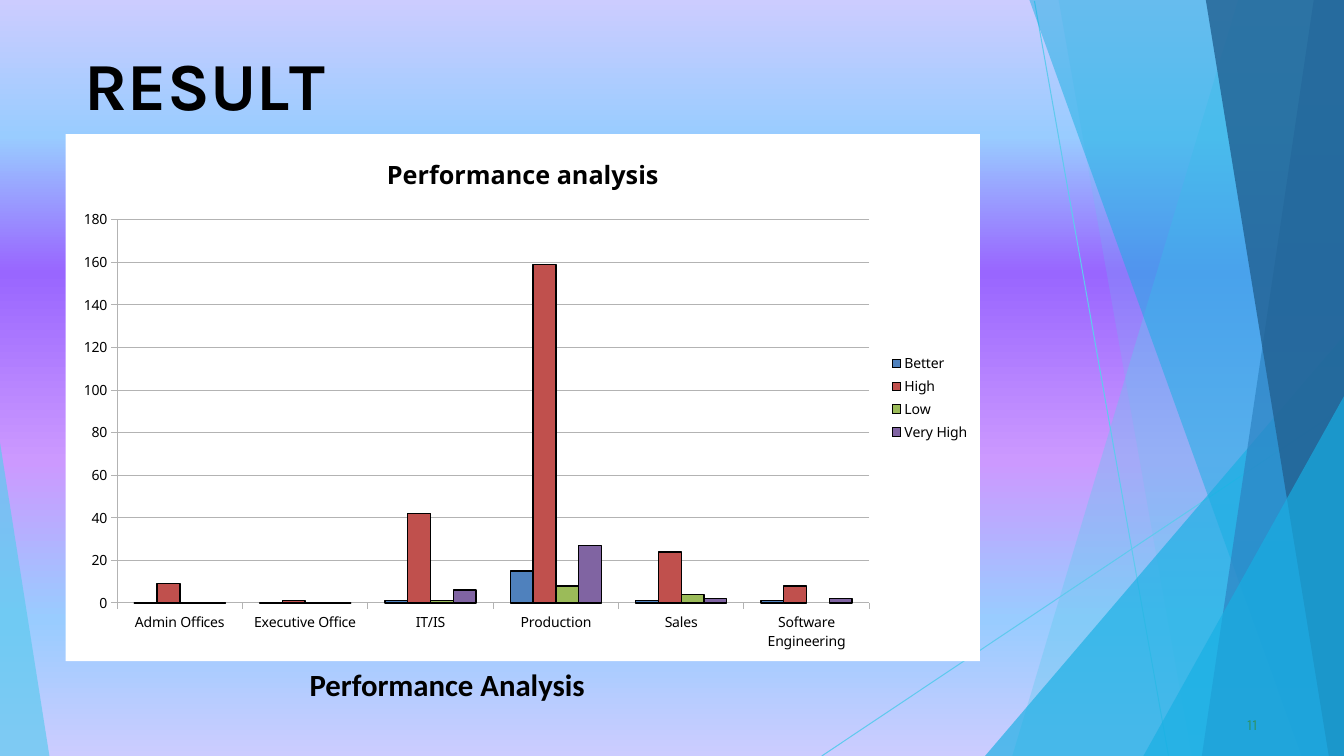
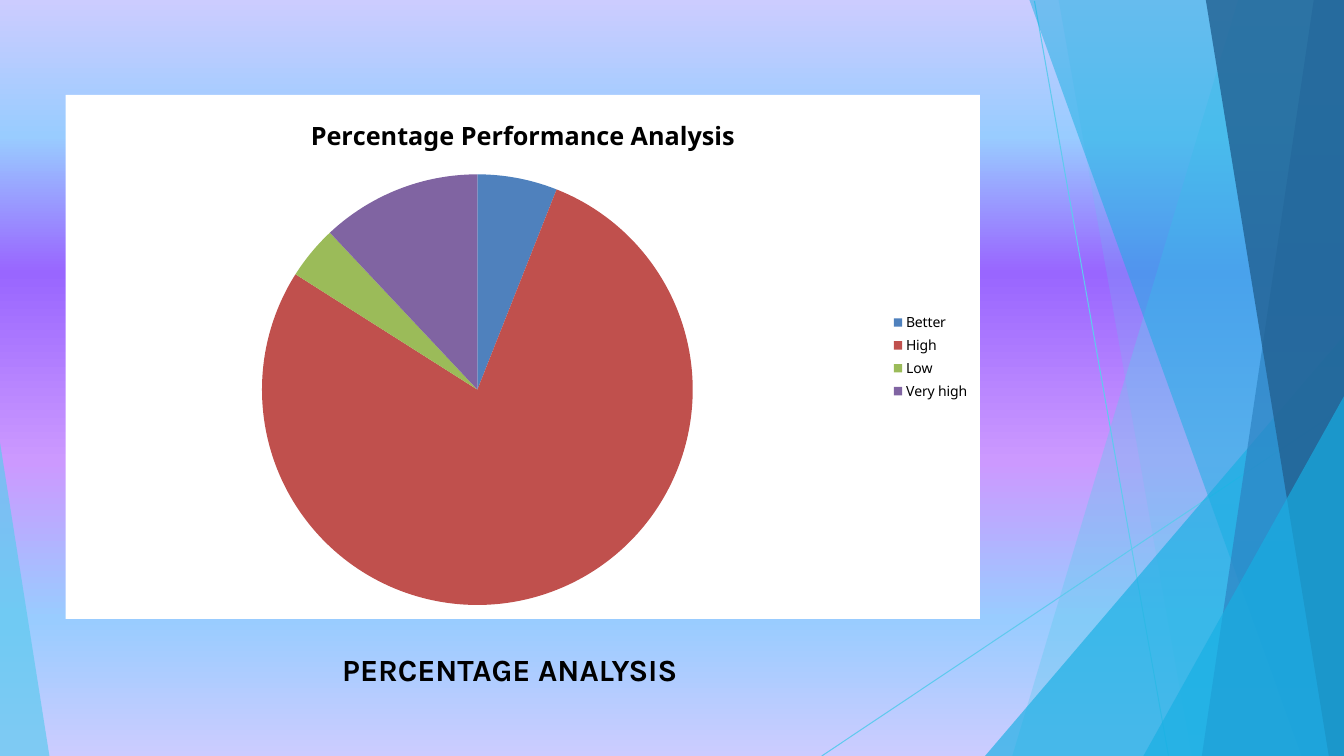
from lxml.etree import SubElement
from pptx import Presentation
from pptx.chart.data import CategoryChartData
from pptx.dml.color import RGBColor
from pptx.enum.chart import XL_CHART_TYPE, XL_LEGEND_POSITION, XL_TICK_MARK
from pptx.enum.text import PP_ALIGN
from pptx.oxml import parse_xml
from pptx.oxml.ns import nsdecls, qn
from pptx.util import Inches, Pt

BLACK = RGBColor(0x00, 0x00, 0x00)
GRID = RGBColor(0xB3, 0xB3, 0xB3)
GREEN = RGBColor(0x2D, 0x93, 0x6B)
SKY = RGBColor(0x5F, 0xCA, 0xEE)
CYAN = RGBColor(0x17, 0xAF, 0xE3)
BLUE = RGBColor(0x2D, 0x83, 0xC3)
NAVY = RGBColor(0x22, 0x61, 0x92)
SERIES_COLORS = [RGBColor(0x4F, 0x81, 0xBD), RGBColor(0xC0, 0x50, 0x4D),
                 RGBColor(0x9B, 0xBB, 0x59), RGBColor(0x80, 0x64, 0xA2)]
LILAC = RGBColor(0xCC, 0xCC, 0xFF)
PALE_BLUE = RGBColor(0x99, 0xCC, 0xFF)
VIOLET = RGBColor(0x99, 0x66, 0xFF)
ORCHID = RGBColor(0xCC, 0x99, 0xFF)
GRADIENT = [(0, LILAC), (18, PALE_BLUE), (36, VIOLET),
            (61, ORCHID), (82, PALE_BLUE), (100, LILAC)]

W, H = 13.33, 7.5
RAYS = [((10.26, 0.01), (11.59, H)), ((W, 4.04), (8.15, H))]
FACETS = [
    ([(W, 0), (12.28, 0), (10.04, H), (W, H)], SKY, 36),
    ([(W, 0), (10.5, 0), (11.82, H), (W, H)], SKY, 20),
    ([(W, 3.33), (9.77, H), (W, H)], CYAN, 66),
    ([(W, 0), (10.21, 0), (12.91, H), (W, H)], CYAN, 50),
    ([(W, 0), (13.03, 0), (11.92, H), (W, H)], BLUE, 70),
    ([(W, 0), (11.96, 0), (13.18, H), (W, H)], NAVY, 80),
    ([(W, 3.93), (11.34, H), (W, H)], CYAN, 66),
    ([(0, 4.39), (0, H), (0.49, H)], SKY, 70),
]

HEADING = [("R", 0), ("E", -0.4), ("S", 0.1), ("U", -0.3), ("L", -4), ("TS", 0)]
HEADING = HEADING[:-1] + [("T", 0)]
DEPARTMENTS = ["Admin Offices", "Executive Office", "IT/IS", "Production",
               "Sales", "Software Engineering"]
SCORES = [
    ("Better", [0, 0, 1, 15, 1, 1]),
    ("High", [9, 1, 42, 159, 24, 8]),
    ("Low", [0, 0, 1, 8, 4, None]),
    ("Very High", [0, 0, 6, 27, 2, 2]),
]
RATINGS = ["Better", "High", "Low", "Very high"]
SHARES = [("Series 1", [6, 78, 4, 12])]


def set_background(master):
    fill = master.background.fill
    fill.gradient()
    fill.gradient_angle = 270
    stops = master.element.xpath(".//p:bg//a:gsLst")[0]
    for stop in list(stops):
        stops.remove(stop)
    for pos, color in GRADIENT:
        stop = SubElement(stops, qn("a:gs"), pos=str(pos * 1000))
        SubElement(stop, qn("a:srgbClr"), val=str(color))


def add_decor(s):
    for (x1, y1), (x2, y2) in RAYS:
        ray = s.shapes.add_connector(1, Inches(x1), Inches(y1), Inches(x2), Inches(y2))
        ray.line.color.rgb = SKY
        ray.line.width = Pt(0.75)
        SubElement(ray.element.spPr, qn("a:effectLst"))
    for points, color, opacity in FACETS:
        start, *rest = [(Inches(x), Inches(y)) for x, y in points]
        builder = s.shapes.build_freeform(*start)
        builder.add_line_segments(rest, close=True)
        sp = builder.convert_to_shape()
        sp.shadow.inherit = False
        sp.fill.solid()
        sp.fill.fore_color.rgb = color
        sp.line.fill.background()
        clr = sp.element.spPr.find(qn("a:solidFill"))[0]
        SubElement(clr, qn("a:alpha"), val=str(opacity * 1000))


def add_text(s, box, runs, size, font="Karla", color=BLACK, bold=True,
             align=PP_ALIGN.CENTER, inset=True, before=0):
    tf = s.shapes.add_textbox(*map(Inches, box)).text_frame
    tf.word_wrap = True
    if not inset:
        tf.margin_left = tf.margin_right = tf.margin_bottom = 0
        tf.margin_top = Inches(0.01)
    p = tf.paragraphs[0]
    p.alignment = align
    p.space_before = Pt(before)
    for text, spacing in runs:
        r = p.add_run()
        r.text = text
        r.font.name, r.font.size, r.font.bold = font, Pt(size), bold
        r.font.color.rgb = color
        if spacing:
            r.font._element.set("spc", str(round(spacing * 100)))


def style_font(font, size, bold=False):
    font.name, font.size, font.bold = "Noto Sans", Pt(size), bold
    font.color.rgb = BLACK


def add_chart(s, kind, top, height, title, categories, series):
    data = CategoryChartData()
    data.categories = categories
    for name, values in series:
        data.add_series(name, values)
    chart = s.shapes.add_chart(kind, Inches(0.65), Inches(top), Inches(9.07),
                               Inches(height), data).chart
    style_font(chart.font, 10)
    chart.has_title = True
    r = chart.chart_title.text_frame.paragraphs[0].add_run()
    r.text = title
    style_font(r.font, 18, True)
    chart.chart_title.include_in_layout = False
    chart.has_legend = True
    chart.legend.position = XL_LEGEND_POSITION.RIGHT
    chart.legend.include_in_layout = False
    style_font(chart.legend.font, 10)
    chart.element.find(qn("c:chart")).addnext(parse_xml(
        f'<c:spPr {nsdecls("c", "a")}><a:solidFill><a:srgbClr val="FFFFFF"/>'
        '</a:solidFill><a:ln><a:noFill/></a:ln></c:spPr>'))
    return chart


def add_column_chart(s):
    chart = add_chart(s, XL_CHART_TYPE.COLUMN_CLUSTERED, 1.33, 5.23,
                      "Performance analysis", DEPARTMENTS, SCORES)
    plot = chart.plots[0]
    plot.vary_by_categories = False
    plot.gap_width, plot.overlap = 150, 0
    for series, color in zip(plot.series, SERIES_COLORS):
        series.format.fill.solid()
        series.format.fill.fore_color.rgb = color
        series.format.line.color.rgb = BLACK
        series.format.line.width = Pt(1)
    for axis in (chart.category_axis, chart.value_axis):
        axis.major_tick_mark = XL_TICK_MARK.OUTSIDE
        axis.minor_tick_mark = XL_TICK_MARK.NONE
        axis.format.line.color.rgb = GRID
        style_font(axis.tick_labels.font, 10)
    chart.value_axis.has_major_gridlines = True
    chart.value_axis.major_gridlines.format.line.color.rgb = GRID


def add_pie_chart(s):
    chart = add_chart(s, XL_CHART_TYPE.PIE, 0.94, 5.2,
                      "Percentage Performance Analysis", RATINGS, SHARES)
    plot = chart.plots[0]
    plot.vary_by_categories = True
    for i, color in enumerate(SERIES_COLORS):
        fill = plot.series[0].points[i].format.fill
        fill.solid()
        fill.fore_color.rgb = color


def new_slide(prs):
    s = prs.slides.add_slide(prs.slide_layouts[6])
    add_decor(s)
    return s


def main():
    prs = Presentation()
    prs.slide_width, prs.slide_height = Inches(W), Inches(H)
    set_background(prs.slide_master)

    s = new_slide(prs)
    add_text(s, (0.84, 0.42, 2.67, 0.83), HEADING, 48,
             align=PP_ALIGN.LEFT, inset=False, before=1)
    add_text(s, (12.37, 7.08, 0.25, 0.21), [("11", 0.1)], 11, color=GREEN,
             bold=False, align=PP_ALIGN.LEFT, inset=False, before=0.6)
    add_text(s, (2.21, 6.56, 4.45, 0.47), [("Performance Analysis", 0)], 22, "Calibri")
    add_column_chart(s)

    s = new_slide(prs)
    add_text(s, (3.23, 6.41, 3.65, 0.74), [("PERCENTAGE ANALYSIS", 0)], 22)
    add_pie_chart(s)

    prs.save("out.pptx")


if __name__ == "__main__":
    main()
